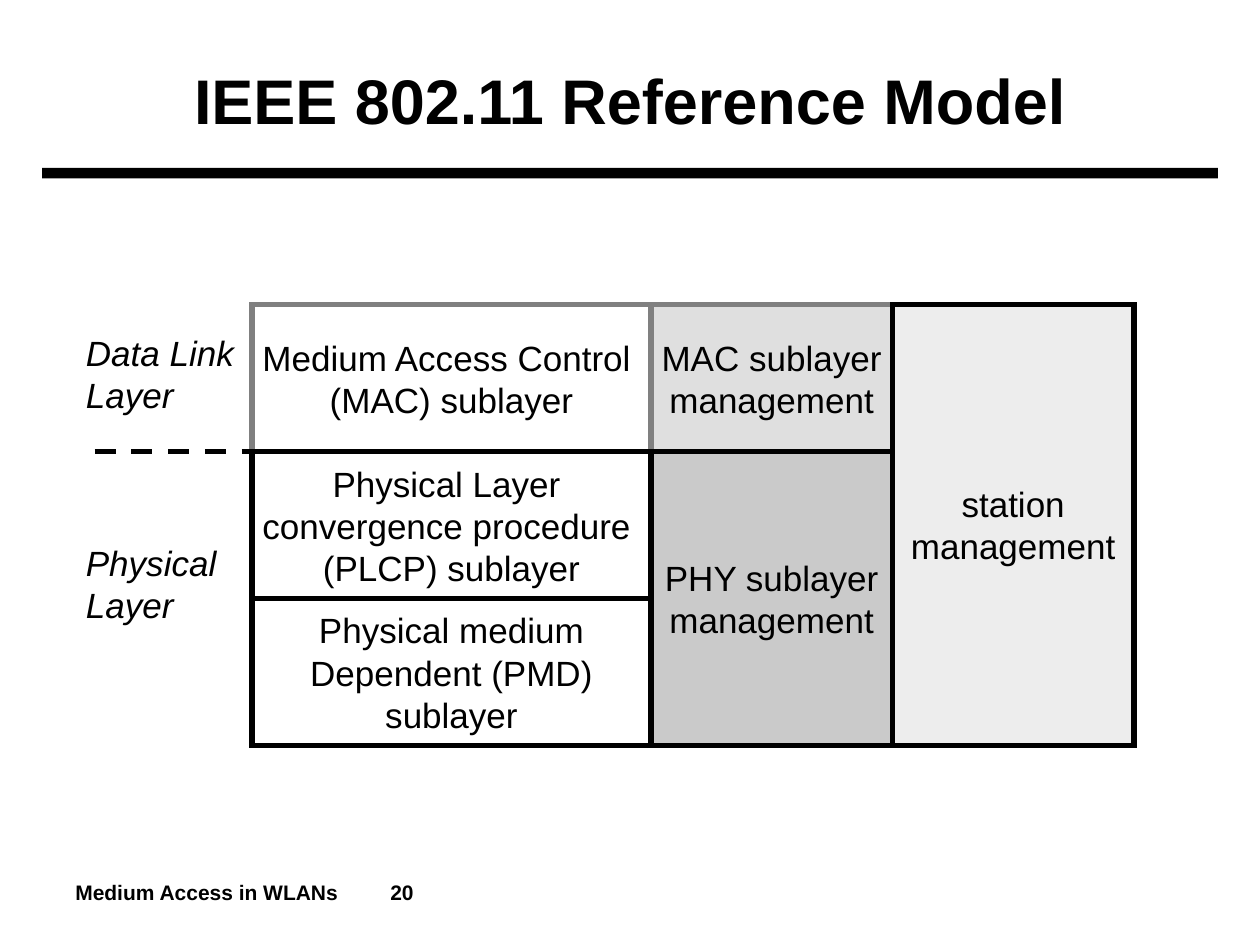
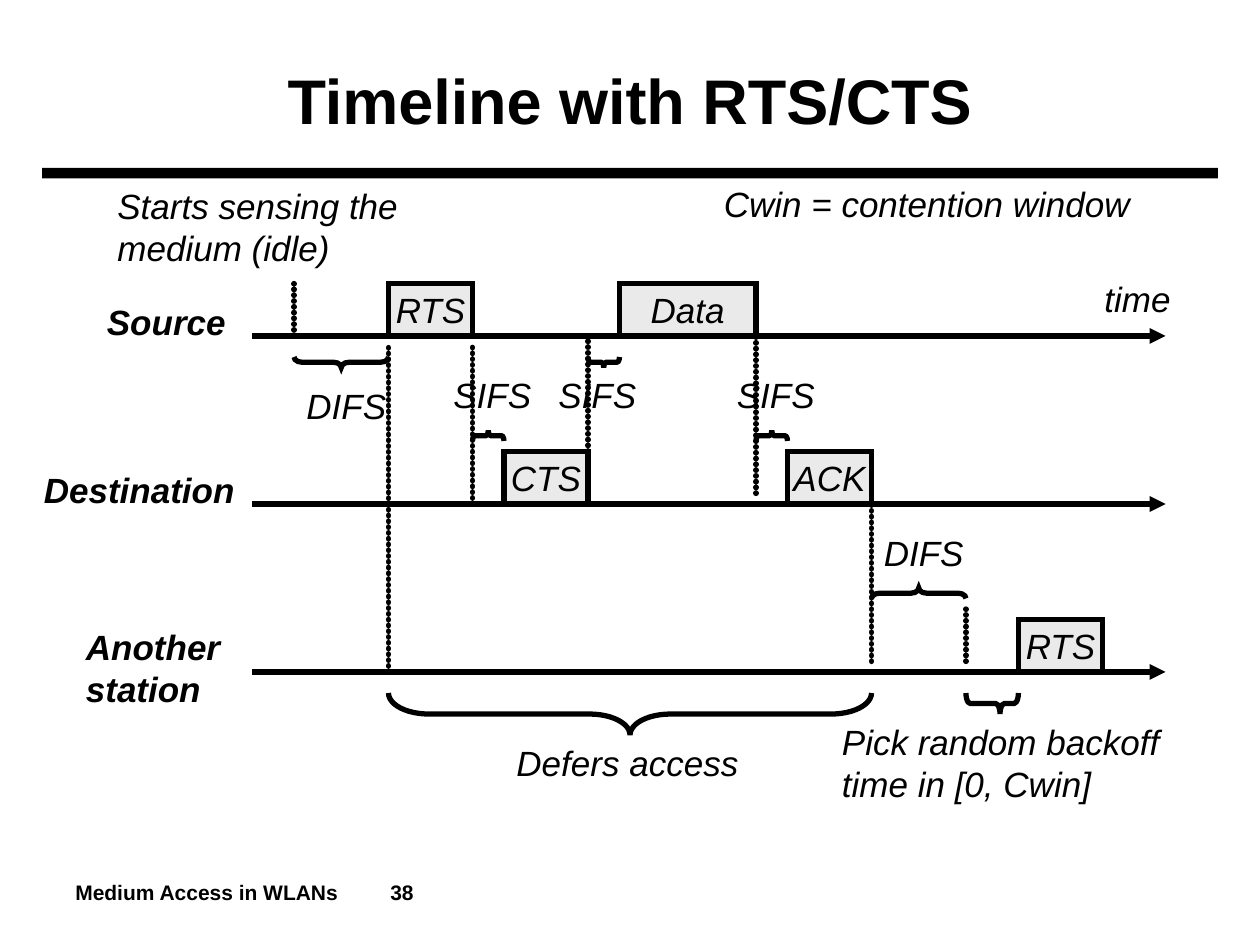
import pptx
import pptx.util
import pptx.dml.color
import pptx.enum.dml
import pptx.enum.shapes
import pptx.enum.text
import pptx.oxml
import pptx.oxml.ns

Pt = pptx.util.Pt
SHAPE = pptx.enum.shapes.MSO_SHAPE
ALIGN = pptx.enum.text.PP_ALIGN
MIDDLE = pptx.enum.text.MSO_ANCHOR.MIDDLE
FONT = "Arial"
BLACK, GRAY, FRAME_FILL = "000000", "808080", "EAEAEA"
FOOTER = "Medium Access in WLANs"

# Reference model
LAYER_TOP, LAYER_H = 174, 84
COL_X, COL_W = (144, 372, 510), (228, 138, 138)
# lines, column, first row, rows spanned, fill, outline
LAYER_BOXES = [
    (["Medium Access Control ", "(MAC) sublayer"], 0, 0, 1, None, GRAY),
    (["Physical Layer ", "convergence procedure ", "(PLCP) sublayer"], 0, 1, 1, None, BLACK),
    (["Physical medium", "Dependent (PMD)", "sublayer"], 0, 2, 1, None, BLACK),
    (["MAC sublayer", "management"], 1, 0, 1, "C0C0C0", GRAY),
    (["PHY sublayer", "management"], 1, 1, 2, "969696", BLACK),
    (["station", "management"], 2, 0, 3, "DDDDDD", BLACK),
]
LAYER_NAMES = [  # lines, left, top, width, text rows
    (["Data Link", "Layer"], 42, 186, 104, 2),
    (["Physical", "Layer"], 42, 306, 94, 2),
]

# Timeline
AXIS_X = (144, 666)
SOURCE, DESTINATION, ANOTHER = AXES = (192, 288, 384)
FRAME_H = 30
FRAMES = [  # text, left, width, axis
    ("RTS", 222, 48, SOURCE),
    ("Data", 354, 78, SOURCE),
    ("CTS", 288, 48, DESTINATION),
    ("ACK", 450, 48, DESTINATION),
    ("RTS", 582, 48, ANOTHER),
]
MARKS = [  # x, bottom, top
    (168, 192, 162), (270, 288, 198), (222, 384, 198), (336, 258, 192),
    (432, 282, 192), (498, 378, 282), (552, 378, 348),
]
BRACES = [  # left, right, top, height, points up, place of the point
    (168, 222, 204, 6, False, 0.5),
    (270, 288, 246, 6, True, 0.5),
    (336, 354, 204, 6, False, 0.5),
    (432, 450, 246, 6, True, 0.5),
    (498, 552, 336, 6, True, 0.5),
    (222, 498, 396, 24, False, 0.5),
    (552, 582, 396, 12, False, 0.65),
]
STATION_NAMES = [  # text, left, top, width, text rows
    ("Source", 54, 168, 88, 1),
    ("Destination", 18, 264, 128, 1),
    ("Another station", 42, 354, 102, 2),
]
NOTES = [
    ("Starts sensing the medium (idle)", 60, 102, 186, 2),
    ("Cwin = contention window", 406.5, 101, 254, 1),
    ("time", 624, 155, 58, 1),
    ("DIFS", 168, 216, 66, 1),
    ("SIFS", 252, 210, 66, 1),
    ("SIFS", 312, 210, 66, 1),
    ("SIFS", 414, 210, 66, 1),
    ("DIFS", 498, 300, 66, 1),
    ("Defers access", 288, 420, 148, 1),
    ("Pick random backoff time in [0, Cwin]", 474, 408, 204, 2),
]


def rgb(value):
    return pptx.dml.color.RGBColor.from_string(value)


def at(*lengths):
    return [Pt(n) for n in lengths]


def add_xml(parent, tag, **attributes):
    el = parent.makeelement(pptx.oxml.ns.qn("a:" + tag), attributes)
    parent.append(el)
    return el


def write(sp, lines, size=20, bold=False, italic=False, align=ALIGN.LEFT, wrap=True):
    tf = sp.text_frame
    tf.text = "\n".join(lines)
    tf.word_wrap = wrap
    for p in tf.paragraphs:
        p.alignment = align
        p.font.name, p.font.size = FONT, Pt(size)
        p.font.bold, p.font.italic = bold, italic
        p.font.color.rgb = rgb(BLACK)
    return tf


def label(slide, lines, x, y, w, rows, bold=False):
    sp = slide.shapes.add_textbox(*at(x, y, w, 7.4 + 24 * rows))
    tf = write(sp, lines, italic=True, bold=bold)
    tf.auto_size = pptx.enum.text.MSO_AUTO_SIZE.SHAPE_TO_FIT_TEXT


def outline(sp, color=BLACK):
    """Give a shape a sharp-cornered outline and no shadow."""
    sp.shadow.inherit = False
    sp.line.color.rgb, sp.line.width = rgb(color), Pt(3)
    add_xml(sp.line._get_or_add_ln(), "miter", lim="800000")


def box(slide, lines, x, y, w, h, fill=None, line_color=BLACK, alpha=None, italic=False):
    sp = slide.shapes.add_shape(SHAPE.RECTANGLE, *at(x, y, w, h))
    if fill:
        sp.fill.solid()
        sp.fill.fore_color.rgb = rgb(fill)
        if alpha:
            color = sp.element.spPr.find(".//" + pptx.oxml.ns.qn("a:srgbClr"))
            add_xml(color, "alpha", val=str(alpha * 1000))
    else:
        sp.fill.background()
    outline(sp, line_color)
    tf = write(sp, lines, italic=italic, align=ALIGN.CENTER, wrap=False)
    tf.vertical_anchor = MIDDLE


def line(slide, x1, y1, x2, y2, dashed=False, dotted=False, arrow=False):
    cn = slide.shapes.add_connector(pptx.enum.shapes.MSO_CONNECTOR.STRAIGHT, *at(x1, y1, x2, y2))
    cn.line.color.rgb, cn.line.width = rgb(BLACK), Pt(3)
    ln = cn.line._get_or_add_ln()
    if dashed:
        cn.line.dash_style = pptx.enum.dml.MSO_LINE.DASH
    if dotted:
        ln.set("cap", "rnd")
        add_xml(add_xml(ln, "custDash"), "ds", d="10000", sp="100000")
    if arrow:
        add_xml(ln, "tailEnd", type="triangle")
    add_xml(cn.element.spPr, "effectLst")


def brace(slide, left, right, top, height, up, point):
    """Lay a left brace on its side so that it spans left to right."""
    span = right - left
    x, y = (left + right - height) / 2, top + (height - span) / 2
    sp = slide.shapes.add_shape(SHAPE.LEFT_BRACE, *at(x, y, height, span))
    sp.rotation = 90 if up else 270
    sp.adjustments[0] = span / 12 / min(span, height)
    sp.adjustments[1] = point
    sp.fill.background()
    outline(sp)


def add_slide(prs, title, number):
    slide = prs.slides.add_slide(prs.slide_layouts[5])
    sp = slide.shapes.title
    sp.left, sp.top, sp.width, sp.height = at(36, 18, 648, 78)
    write(sp, [title], 36, bold=True, align=ALIGN.CENTER).vertical_anchor = MIDDLE
    footer = slide.shapes.add_textbox(*at(36, 492, 648, 36))
    pPr = footer.text_frame.paragraphs[0]._p.get_or_add_pPr()
    add_xml(add_xml(pPr, "tabLst"), "tab", pos=str(Pt(631.5)), algn="r")
    write(footer, [f"{FOOTER}\t{number}"], 12, bold=True).vertical_anchor = MIDDLE
    return slide


def put_rule_on_master(prs, slide):
    rule = slide.shapes.add_shape(SHAPE.RECTANGLE, *at(24, 96, 672, 6))
    rule.shadow.inherit = False
    rule.fill.solid()
    rule.fill.fore_color.rgb = rgb(BLACK)
    rule.line.fill.background()
    rule.element.nvSpPr.cNvPr.set("id", "100")
    prs.slide_master.shapes.element.append(rule.element)


def build_reference_model(prs):
    slide = add_slide(prs, "IEEE 802.11 Reference Model", 20)
    put_rule_on_master(prs, slide)
    for lines, col, row, rows, fill, line_color in LAYER_BOXES:
        box(slide, lines, COL_X[col], LAYER_TOP + row * LAYER_H, COL_W[col],
            rows * LAYER_H, fill, line_color, alpha=50)
    boundary = LAYER_TOP + LAYER_H
    line(slide, 54, boundary, COL_X[0], boundary, dashed=True)
    for name in LAYER_NAMES:
        label(slide, *name)


def build_timeline(prs):
    slide = add_slide(prs, "Timeline with RTS/CTS", 38)
    for y in AXES:
        line(slide, AXIS_X[0], y, AXIS_X[1], y, arrow=True)
    for x, bottom, top in MARKS:
        line(slide, x, bottom, x, top, dotted=True)
    for text, x, w, axis in FRAMES:
        box(slide, [text], x, axis - FRAME_H, w, FRAME_H, FRAME_FILL, italic=True)
    for span in BRACES:
        brace(slide, *span)
    for labels, bold in ((STATION_NAMES, True), (NOTES, False)):
        for text, x, y, w, rows in labels:
            label(slide, [text], x, y, w, rows, bold)


def main():
    prs = pptx.Presentation()
    prs.slide_width, prs.slide_height = at(720, 540)
    build_reference_model(prs)
    build_timeline(prs)
    prs.save("out.pptx")


if __name__ == "__main__":
    main()
